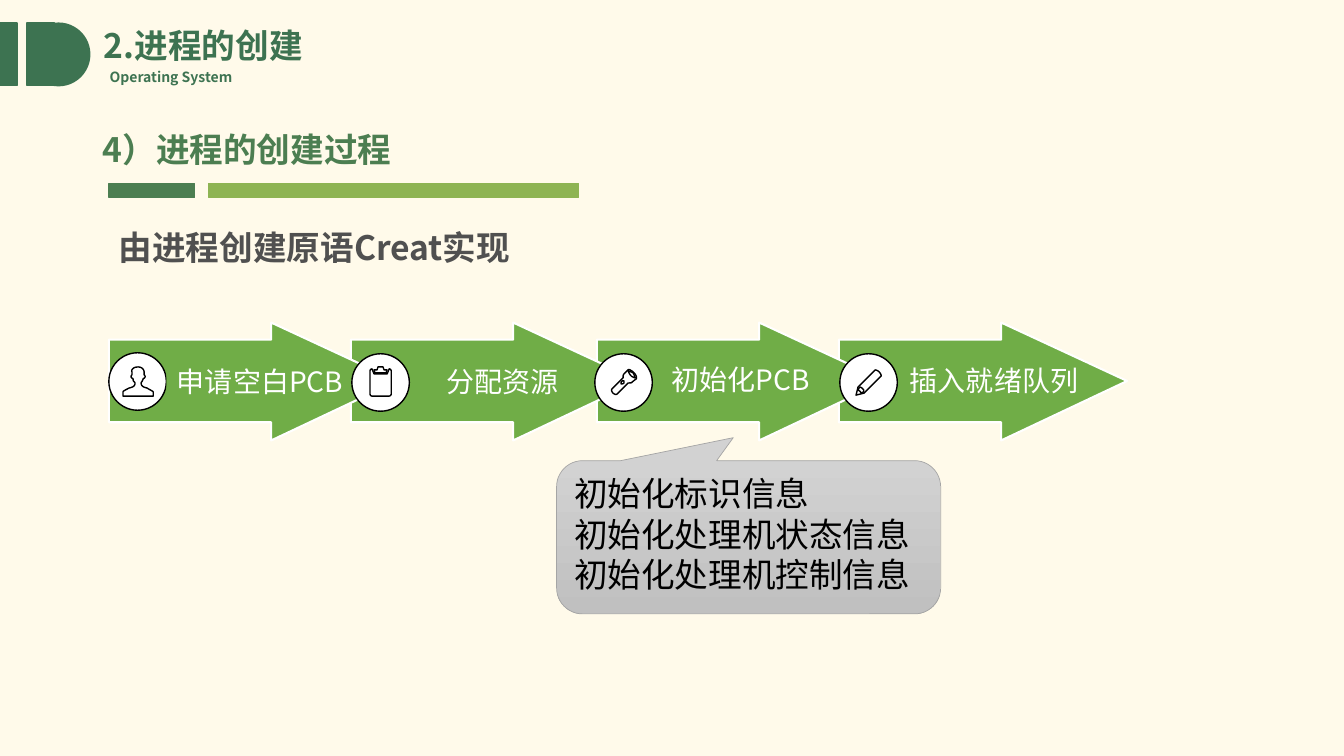
from pptx import Presentation
from pptx.dml.color import RGBColor
from pptx.enum.shapes import MSO_SHAPE
from pptx.enum.text import MSO_ANCHOR, PP_ALIGN
from pptx.util import Inches, Pt

RECT, OVAL = MSO_SHAPE.RECTANGLE, MSO_SHAPE.OVAL
CALLOUT = MSO_SHAPE.ROUNDED_RECTANGULAR_CALLOUT
TOP, MIDDLE = MSO_ANCHOR.TOP, MSO_ANCHOR.MIDDLE
LEFT, CENTER = PP_ALIGN.LEFT, PP_ALIGN.CENTER

FONT = "Noto Sans CJK SC"
CREAM = RGBColor(0xFF, 0xFA, 0xEA)
DARK_GREEN = RGBColor(0x3D, 0x73, 0x51)
MID_GREEN = RGBColor(0x4C, 0x7E, 0x51)
LIME = RGBColor(0x8E, 0xB4, 0x53)
ARROW_GREEN = RGBColor(0x70, 0xAD, 0x47)
WHITE = RGBColor(0xFF, 0xFF, 0xFF)
BLACK = RGBColor(0, 0, 0)
TEXT_GRAY = RGBColor(0x50, 0x50, 0x50)
LIGHT_GRAY = RGBColor(0xD2, 0xD2, 0xD2)
SILVER = RGBColor(0xC0, 0xC0, 0xC0)
LINE_GRAY = RGBColor(0xA5, 0xA5, 0xA5)

TITLE = "2.进程的创建"
BLOCKS = [
    (RECT, (0, 0.23, 0.17, 0.62), DARK_GREEN),
    (RECT, (0.27, 0.23, 0.27, 0.62), DARK_GREEN),
    (OVAL, (0.27, 0.23, 0.62, 0.62), DARK_GREEN),
    (RECT, (1.08, 1.82, 0.85, 0.14), MID_GREEN),
    (RECT, (2.07, 1.82, 3.67, 0.14), LIME),
]
CAPTIONS = [
    ("Operating System", (0.99, 0.63, 1.47, 0.27), 10, DARK_GREEN, False),
    ("4）进程的创建过程", (0.92, 1.23, 4.33, 0.5), 24, MID_GREEN, True),
    ("由进程创建原语Creat实现", (1.08, 2.2, 7.96, 0.5), 24, TEXT_GRAY, True),
]
DETAILS = ["初始化标识信息", "初始化处理机状态信息", "初始化处理机控制信息"]

ARROW = [(0, 0.17), (1.61, 0.17), (1.61, 0), (2.86, 0.58),
         (1.61, 1.17), (1.61, 0.99), (0, 0.99)]
ARROW_TOP = 3.2
DISC = 0.57

# Outlines are relative to the disc: pairs are corners, sextets are Bezier curves.
PERSON = [[
    (0.38, 0.35), (0.34, 0.34, 0.32, 0.33, 0.32, 0.3),
    (0.32, 0.29, 0.33, 0.29, 0.34, 0.26), (0.34, 0.25, 0.35, 0.26, 0.36, 0.24),
    (0.36, 0.22, 0.35, 0.22, 0.35, 0.22), (0.35, 0.22, 0.35, 0.21, 0.35, 0.19),
    (0.35, 0.18, 0.34, 0.14, 0.29, 0.14), (0.23, 0.14, 0.22, 0.18, 0.23, 0.19),
    (0.23, 0.21, 0.23, 0.22, 0.23, 0.22), (0.23, 0.22, 0.22, 0.22, 0.22, 0.24),
    (0.23, 0.26, 0.24, 0.25, 0.24, 0.26), (0.24, 0.29, 0.26, 0.29, 0.26, 0.3),
    (0.26, 0.33, 0.24, 0.34, 0.2, 0.35), (0.16, 0.37, 0.14, 0.38, 0.14, 0.39),
    (0.14, 0.43), (0.44, 0.43), (0.44, 0.39), (0.44, 0.38, 0.41, 0.37, 0.38, 0.35),
]]
BOARD = [[
    (0.37, 0.15), (0.35, 0.2), (0.22, 0.2), (0.2, 0.15),
    (0.19, 0.15, 0.18, 0.16, 0.18, 0.17), (0.18, 0.4),
    (0.18, 0.41, 0.19, 0.42, 0.2, 0.42), (0.37, 0.42),
    (0.38, 0.42, 0.39, 0.41, 0.39, 0.4), (0.39, 0.17),
    (0.39, 0.16, 0.38, 0.15, 0.37, 0.15),
]]
CLIP = [[(0.34, 0.19), (0.35, 0.16), (0.32, 0.16), (0.31, 0.13), (0.26, 0.13),
         (0.25, 0.16), (0.22, 0.16), (0.23, 0.19)]]
TORCH = [
    [(0.36, 0.22), (0.34, 0.2, 0.33, 0.17, 0.33, 0.17),
     (0.34, 0.17, 0.36, 0.18, 0.38, 0.19), (0.39, 0.21, 0.4, 0.23, 0.4, 0.24),
     (0.4, 0.24, 0.37, 0.23, 0.36, 0.22)],
    [(0.26, 0.3), (0.26, 0.29, 0.26, 0.28, 0.27, 0.27),
     (0.27, 0.27, 0.28, 0.27, 0.29, 0.27), (0.29, 0.28, 0.29, 0.28, 0.29, 0.29),
     (0.28, 0.3, 0.27, 0.3, 0.26, 0.3)],
    [(0.39, 0.19), (0.36, 0.16, 0.33, 0.15, 0.33, 0.16), (0.29, 0.2),
     (0.28, 0.21, 0.28, 0.22, 0.28, 0.24), (0.17, 0.35),
     (0.16, 0.36, 0.17, 0.38, 0.18, 0.39), (0.19, 0.4, 0.21, 0.41, 0.22, 0.4),
     (0.33, 0.29), (0.35, 0.29, 0.37, 0.29, 0.37, 0.28), (0.41, 0.25),
     (0.42, 0.24, 0.41, 0.21, 0.39, 0.19)],
]
PENCIL = [
    [(0.23, 0.38), (0.21, 0.39), (0.21, 0.38, 0.2, 0.38, 0.2, 0.37),
     (0.19, 0.37, 0.19, 0.36, 0.18, 0.36), (0.19, 0.34), (0.2, 0.33),
     (0.2, 0.33, 0.21, 0.33, 0.23, 0.35), (0.24, 0.36, 0.24, 0.38, 0.23, 0.38)],
    [(0.39, 0.18), (0.37, 0.16, 0.35, 0.16, 0.35, 0.16), (0.27, 0.24),
     (0.18, 0.33), (0.16, 0.41), (0.24, 0.39), (0.33, 0.3), (0.41, 0.22),
     (0.41, 0.22, 0.41, 0.2, 0.39, 0.18)],
]
STEPS = [
    ("申请空白PCB", 1.08, (1.08, 3.5), [PERSON], (1.65, 3.62, 1.86, 0.34)),
    ("分配资源", 3.48, (3.49, 3.51), [BOARD, CLIP], (4.21, 3.62, 1.55, 0.34)),
    ("初始化PCB", 5.92, (5.9, 3.51), [TORCH], (6.51, 3.6, 1.67, 0.34)),
    ("插入就绪队列", 8.32, (8.33, 3.51), [PENCIL], (8.93, 3.61, 1.86, 0.34)),
]


def paint(sp, fill, line=None, width=1):
    sp.shadow.inherit = False
    sp.fill.solid()
    sp.fill.fore_color.rgb = fill
    if line is None:
        sp.line.fill.background()
    else:
        sp.line.color.rgb = line
        sp.line.width = Pt(width)


def add_block(kind, box, fill, line=None):
    sp = slide.shapes.add_shape(kind, *map(Inches, box))
    paint(sp, fill, line)
    return sp


def write(sp, lines, size, color, bold=False, align=LEFT, anchor=TOP, wrap=True):
    tf = sp.text_frame
    tf.word_wrap = wrap
    tf.vertical_anchor = anchor
    tf.text = "\n".join(lines)
    for p in tf.paragraphs:
        p.alignment = align
        for r in p.runs:
            r.font.name, r.font.size, r.font.bold = FONT, Pt(size), bold
            r.font.color.rgb = color
    return tf


def flatten(contour, steps=6):
    points = [contour[0]]
    for part in contour[1:]:
        if len(part) == 2:
            points.append(part)
            continue
        nodes = [points[-1], part[:2], part[2:4], part[4:]]
        for i in range(1, steps + 1):
            t = i / steps
            weights = ((1 - t) ** 3, 3 * t * (1 - t) ** 2, 3 * t * t * (1 - t), t ** 3)
            points.append(tuple(sum(w * n[k] for w, n in zip(weights, nodes)) for k in (0, 1)))
    return points


def add_outline(contours, left, top, fill, line, width):
    builder = None
    for contour in contours:
        points = [(Inches(left + x), Inches(top + y)) for x, y in flatten(contour)]
        if builder is None:
            builder = slide.shapes.build_freeform(*points[0], scale=1.0)
        else:
            builder.move_to(*points[0])
        builder.add_line_segments(points[1:], close=True)
    paint(builder.convert_to_shape(), fill, line, width)


prs = Presentation()
prs.slide_width, prs.slide_height = Inches(13.33), Inches(7.5)
slide = prs.slides.add_slide(prs.slide_layouts[5])
slide.background.fill.solid()
slide.background.fill.fore_color.rgb = CREAM

title = slide.shapes.title
title.left, title.top, title.width, title.height = map(Inches, (0.93, 0.22, 4.34, 0.5))
write(title, [TITLE], 24, DARK_GREEN, True, anchor=MIDDLE).paragraphs[0].line_spacing = 0.9

for kind, box, color in BLOCKS:
    add_block(kind, box, color, color)
for text, box, size, color, wrap in CAPTIONS:
    write(slide.shapes.add_textbox(*map(Inches, box)), [text], size, color, True, wrap=wrap)

for _, left, _, _, _ in reversed(STEPS):
    add_outline([ARROW], left, ARROW_TOP, ARROW_GREEN, WHITE, 1.5)
for label, _, disc, icon, box in STEPS:
    add_block(OVAL, (*disc, DISC, DISC), WHITE, BLACK)
    for contours in icon:
        add_outline(contours, *disc, WHITE, BLACK, 1)
    tf = write(add_block(RECT, box, ARROW_GREEN), [label], 20, WHITE, align=CENTER)
    tf.margin_left = tf.margin_right = tf.margin_top = tf.margin_bottom = 0

callout = add_block(CALLOUT, (5.52, 4.57, 3.81, 1.52), SILVER, LINE_GRAY)
callout.line.width = Pt(0.5)
for i, value in enumerate((-0.04, -0.65, 0.17)):
    callout.adjustments[i] = value
callout.fill.gradient()
callout.fill.gradient_angle = 270
for stop, color in zip(callout.fill.gradient_stops, (LIGHT_GRAY, SILVER)):
    stop.color.rgb = color
write(callout, DETAILS, 24, BLACK)

prs.save("out.pptx")
